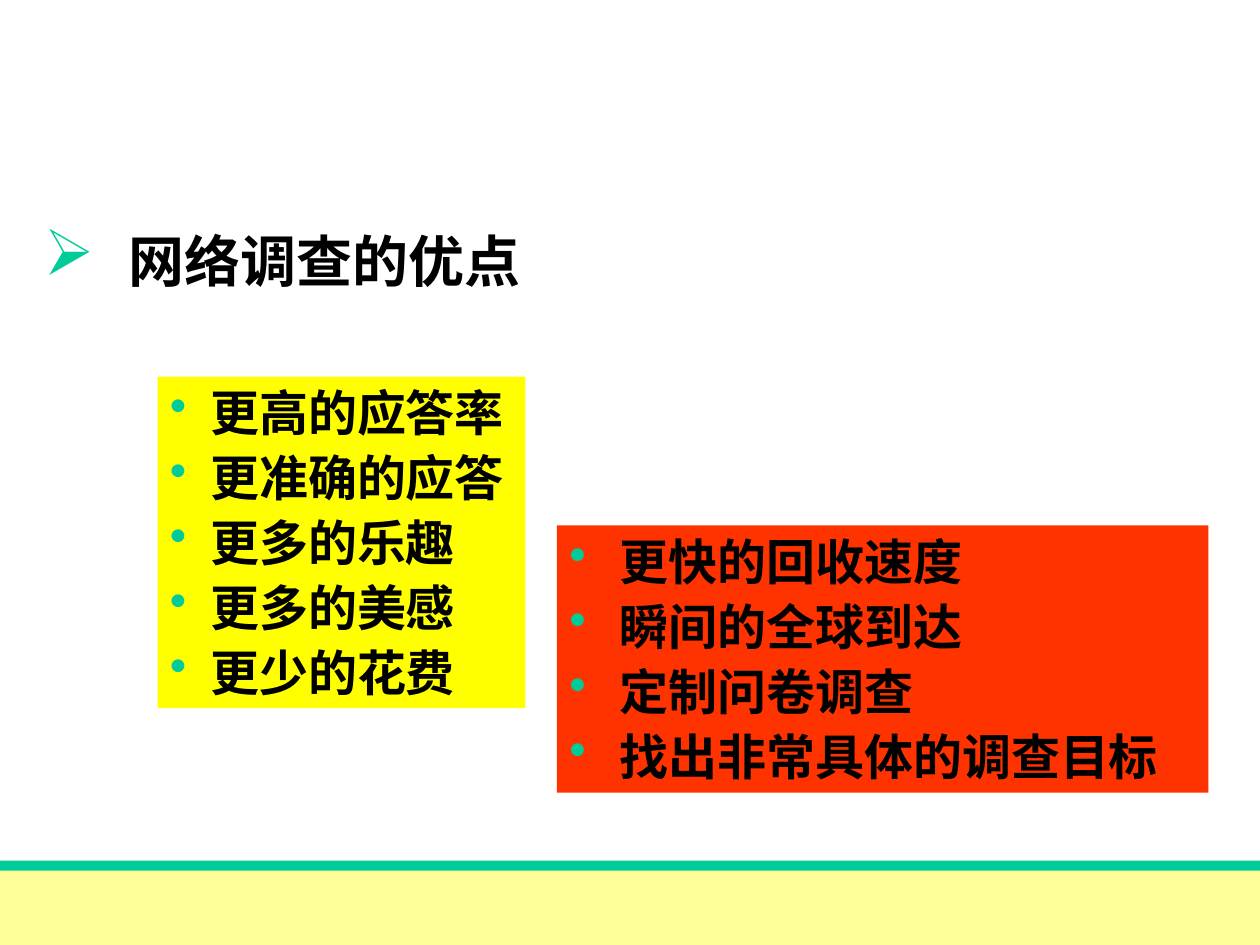
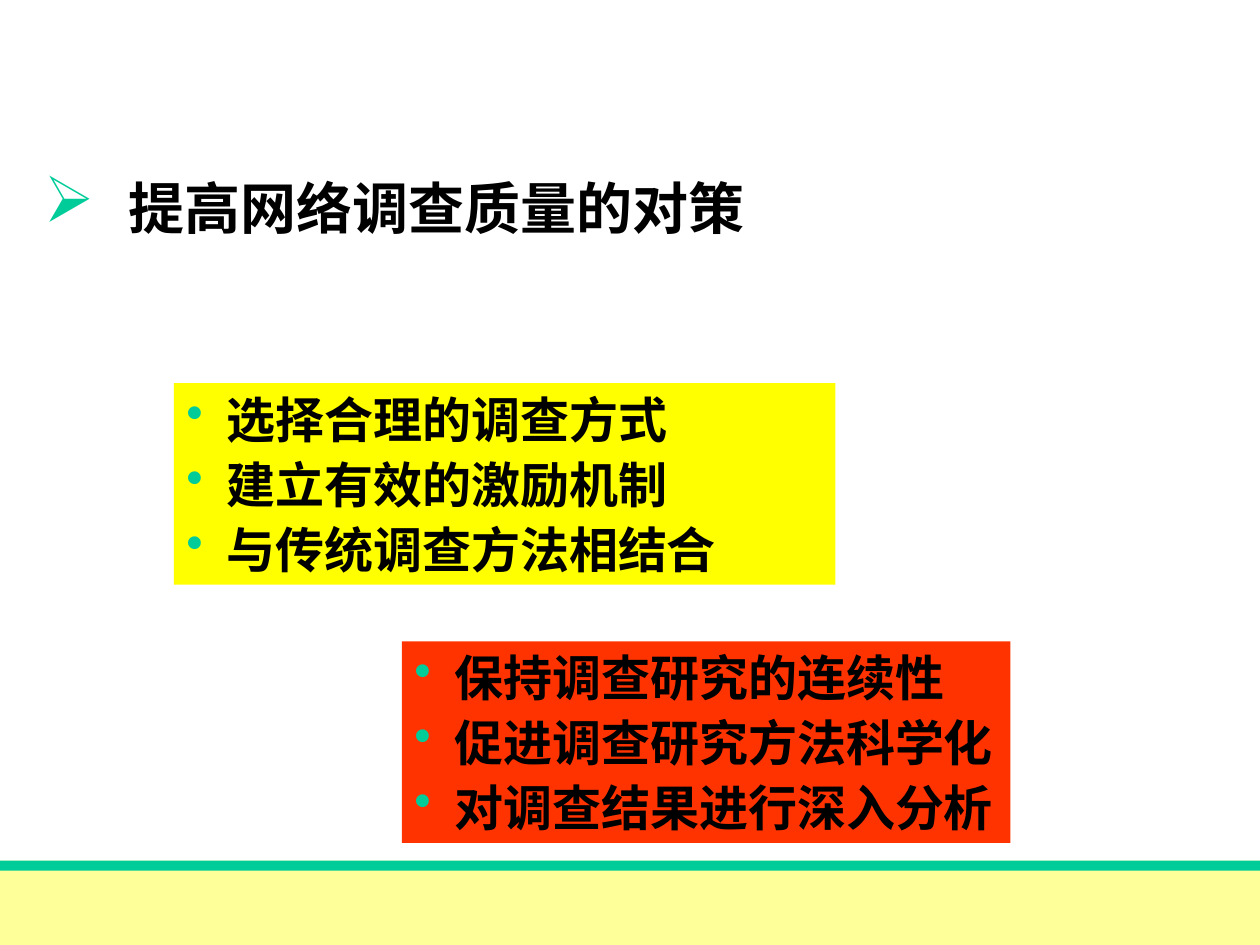
import pptx
import pptx.dml.color
import pptx.enum.shapes
import pptx.enum.text
import pptx.oxml.ns
import pptx.util
from lxml import etree

Inches = pptx.util.Inches
Pt = pptx.util.Pt

THEME = {
    "font": "Times New Roman",
    "ink": "000000",
    "accent": "00CC99",
    "footer": "FFFF99",
    "yellow": "FFFF00",
    "red": "FF3300",
    "heading": {"size": 32, "char": "➢", "percent": 115, "indent": 0.67},
    "point": {"size": 28, "char": "•", "percent": 100, "gap": 3.5},
}

# Positions are left, top, width, height in inches.
SLIDES = [
    {
        "heading": ("网络调查的优点", (0.25, 1.75, 5, 0.75)),
        "panels": [
            {"fill": "yellow", "at": (1.25, 2.99, 2.92, 2.63), "indent": 0.32,
             "points": ["更高的应答率", "更准确的应答", "更多的乐趣",
                        "更多的美感", "更少的花费"]},
            {"fill": "red", "at": (4.42, 4.17, 5.17, 2.12), "indent": 0.4,
             "points": ["更快的回收速度", "瞬间的全球到达", "定制问卷调查",
                        "找出非常具体的调查目标"]},
        ],
    },
    {
        "heading": ("提高网络调查质量的对策", (0.25, 1.33, 5.92, 0.75)),
        "panels": [
            {"fill": "yellow", "at": (1.38, 3.04, 5.25, 1.6), "indent": 0.32,
             "points": ["选择合理的调查方式", "建立有效的激励机制",
                        "与传统调查方法相结合"]},
            {"fill": "red", "at": (3.19, 5.09, 4.83, 1.6), "indent": 0.32,
             "points": ["保持调查研究的连续性", "促进调查研究方法科学化",
                        "对调查结果进行深入分析"]},
        ],
    },
]

FOOTER_BANDS = [("footer", (0, 6.83, 10, 0.67)), ("accent", (0, 6.83, 10, 0.08))]


def rgb(name):
    return pptx.dml.color.RGBColor.from_string(THEME[name])


def add_rect(slide, at, fill):
    sp = slide.shapes.add_shape(
        pptx.enum.shapes.MSO_SHAPE.RECTANGLE, *map(Inches, at))
    sp.shadow.inherit = False
    sp.fill.solid()
    sp.fill.fore_color.rgb = rgb(fill)
    sp.line.fill.background()
    return sp


def add_bullet(p, style, indent):
    """Give a paragraph its accent bullet and hanging indent."""
    pPr = p._p.get_or_add_pPr()
    pPr.set("marL", str(Inches(indent)))
    pPr.set("indent", str(-Inches(indent)))
    qn = pptx.oxml.ns.qn
    color = etree.SubElement(pPr, qn("a:buClr"))
    etree.SubElement(color, qn("a:srgbClr"), val=THEME["accent"])
    etree.SubElement(pPr, qn("a:buSzPct"), val=str(style["percent"] * 1000))
    etree.SubElement(pPr, qn("a:buChar"), char=style["char"])


def write_bullets(sp, lines, style, indent):
    tf = sp.text_frame
    frame_format = {
        "word_wrap": True,
        "vertical_anchor": pptx.enum.text.MSO_ANCHOR.TOP,
        "margin_left": Inches(0.1), "margin_right": Inches(0.1),
        "margin_top": Inches(0.05), "margin_bottom": Inches(0.05),
    }
    for key, value in frame_format.items():
        setattr(tf, key, value)
    font_format = {"name": THEME["font"], "size": Pt(style["size"]), "bold": True}
    for i, line in enumerate(lines):
        p = tf.add_paragraph() if i else tf.paragraphs[0]
        add_bullet(p, style, indent)
        p.alignment = pptx.enum.text.PP_ALIGN.LEFT
        if i:
            p.space_before = Pt(style["gap"])
        r = p.add_run()
        r.text = line
        for key, value in font_format.items():
            setattr(r.font, key, value)
        r.font.color.rgb = rgb("ink")


def build_slide(prs, content):
    slide = prs.slides.add_slide(prs.slide_layouts[6])
    for fill, at in FOOTER_BANDS:
        add_rect(slide, at, fill)
    heading, at = content["heading"]
    box = slide.shapes.add_textbox(*map(Inches, at))
    write_bullets(box, [heading], THEME["heading"], THEME["heading"]["indent"])
    for panel in content["panels"]:
        sp = add_rect(slide, panel["at"], panel["fill"])
        write_bullets(sp, panel["points"], THEME["point"], panel["indent"])


def main():
    prs = pptx.Presentation()
    prs.slide_width, prs.slide_height = Inches(10), Inches(7.5)
    for content in SLIDES:
        build_slide(prs, content)
    prs.save("out.pptx")


if __name__ == "__main__":
    main()
